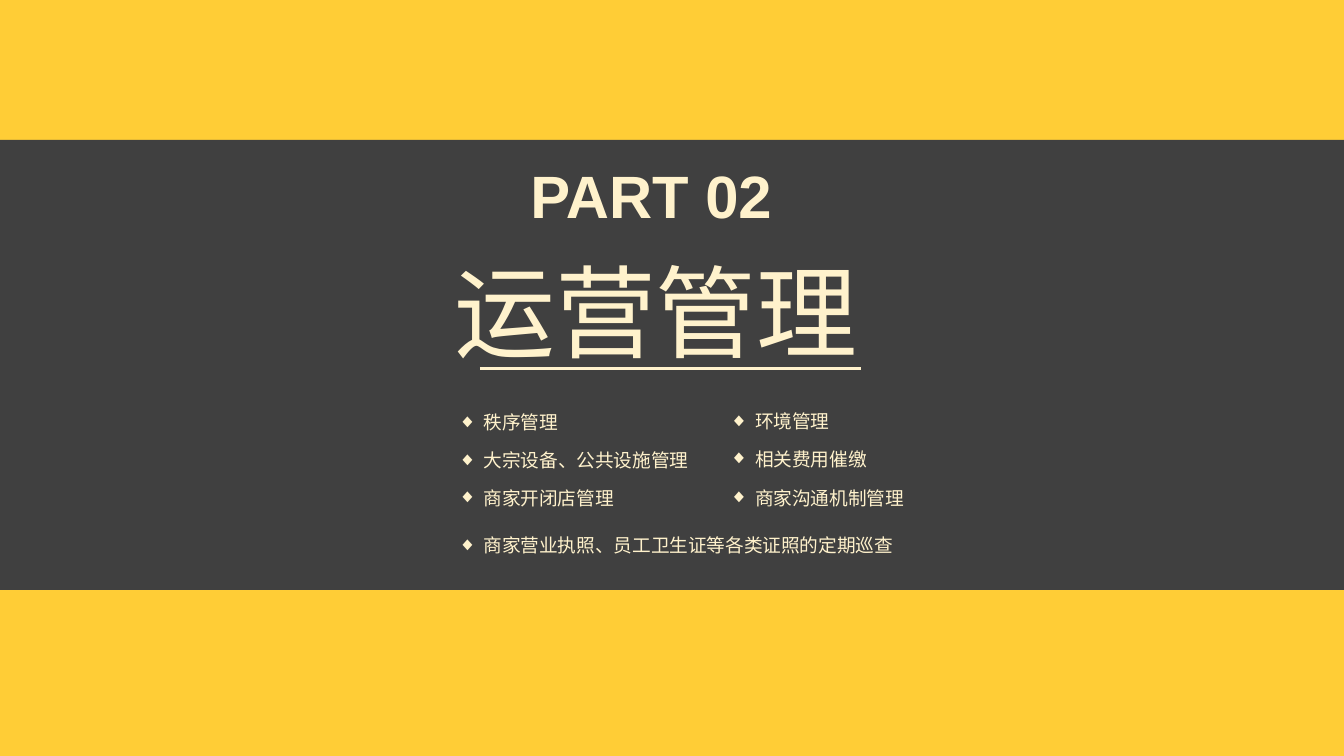
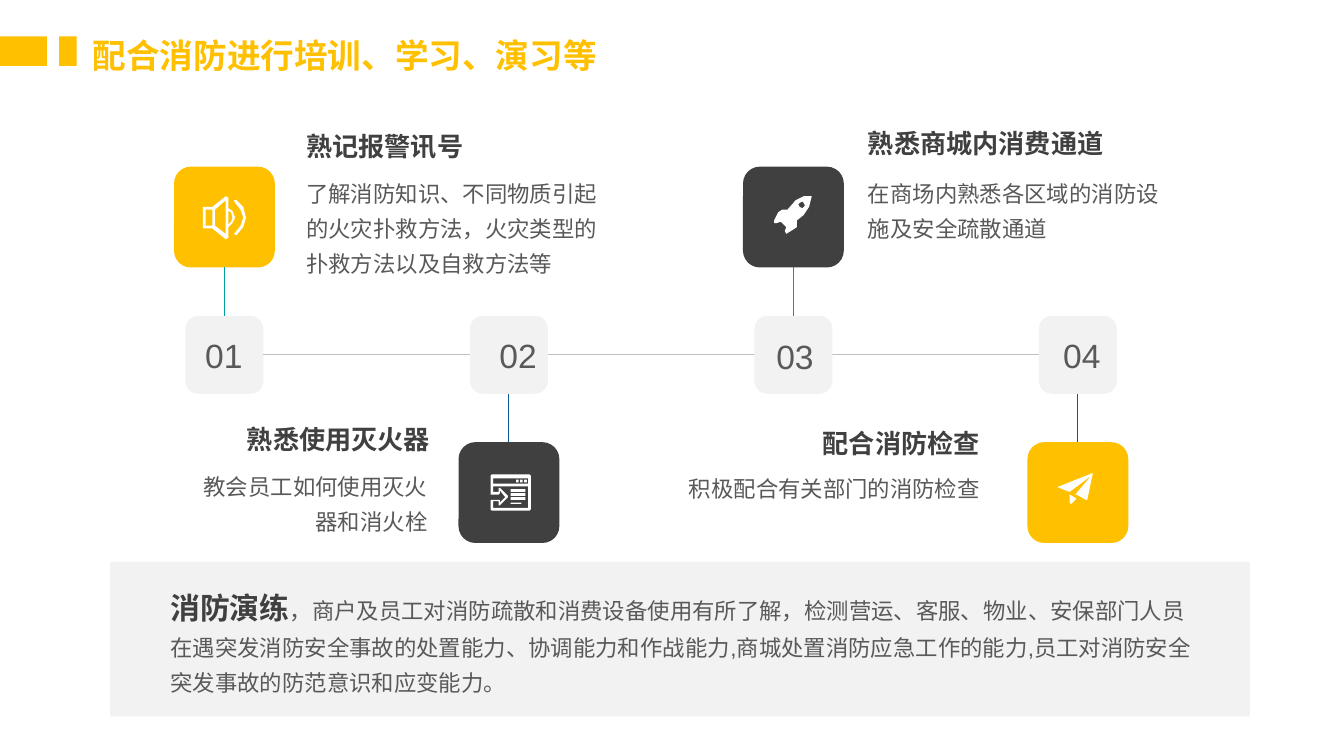
from dataclasses import dataclass
from typing import NamedTuple

from lxml import etree
from pptx import Presentation
from pptx.dml.color import RGBColor
from pptx.enum.shapes import MSO_CONNECTOR, MSO_SHAPE
from pptx.enum.text import MSO_ANCHOR, MSO_AUTO_SIZE, PP_ALIGN
from pptx.oxml.ns import qn
from pptx.util import Inches, Pt

LEFT, CENTER, RIGHT = PP_ALIGN.LEFT, PP_ALIGN.CENTER, PP_ALIGN.RIGHT
TOP, MIDDLE = MSO_ANCHOR.TOP, MSO_ANCHOR.MIDDLE
RECTANGLE, ROUNDED = MSO_SHAPE.RECTANGLE, MSO_SHAPE.ROUNDED_RECTANGLE
STRAIGHT = MSO_CONNECTOR.STRAIGHT
FIT_SHAPE = MSO_AUTO_SIZE.SHAPE_TO_FIT_TEXT
SIDE_TOP, SIDE_LEFT, SIDE_BOTTOM, SIDE_RIGHT = range(4)

YELLOW = RGBColor(0xFF, 0xC0, 0x00)
DARK = RGBColor(0x40, 0x40, 0x40)
CREAM = RGBColor(0xFF, 0xF2, 0xCC)
PALE = RGBColor(0xF2, 0xF2, 0xF2)
GREY = RGBColor(0x59, 0x59, 0x59)
RAIL = RGBColor(0xBF, 0xBF, 0xBF)
TEAL = RGBColor(0x00, 0xA2, 0xA8)
BLUE = RGBColor(0x09, 0x5A, 0x96)
WHITE = RGBColor(0xFF, 0xFF, 0xFF)

FONT = "Arial"
SLIDE_WIDTH = 10
SLIDE_HEIGHT = SLIDE_WIDTH * 9 / 16
TILE_SIZE, NUMBER_SIZE = 0.75, 0.58
NUMBER_TOP = 2.35
FIRST_CENTER, LAST_CENTER = 1.67, 8.02


class Box(NamedTuple):
    left: float
    top: float
    width: float
    height: float


class Style(NamedTuple):
    size: float
    color: RGBColor
    bold: bool = False


class Icon(NamedTuple):
    """Contours in hundredths of an inch, from the corner at left, top."""
    left: float
    top: float
    contours: tuple


@dataclass
class Step:
    number: str
    number_box: Box
    heading: str
    heading_box: Box
    body: str
    body_box: Box
    tile_top: float
    tile_color: RGBColor
    line_color: RGBColor
    align: PP_ALIGN
    icon: Icon


HEADING = Style(14, DARK, True)
BODY = Style(12, GREY)
NUMBER = Style(18, GREY)
TITLE = Style(18, YELLOW, True)
TOPIC = Style(10, CREAM)


def rectangle_points(left: float, top: float, right: float, bottom: float) -> tuple:
    return (left, top), (right, top), (right, bottom), (left, bottom)


SPEAKER = Icon(1.51, 1.46, (
    ((9, 10), (9, 22), (17, 28), (17, 3)),
    ((24, 5), (23, 3), (25, 3), (30, 8), (32, 16), (30, 23), (25, 29),
     (23, 28), (24, 27), (28, 22), (30, 16), (28, 10)),
    rectangle_points(2, 10, 7, 22),
    ((7, 8), (17, 0), (19, 1), (19, 9), (22, 11), (24, 16), (22, 20),
     (19, 23), (19, 31), (17, 32), (7, 24), (0, 24), (0, 8)),
    ((19, 11), (19, 21), (21, 19), (22, 16), (21, 12)),
))
WINDOW = Icon(3.65, 3.53, (
    ((1, 0), (29, 0), (30, 1), (30, 26), (29, 27), (1, 27), (0, 26), (0, 19),
     (7, 19), (7, 21), (11, 17), (7, 12), (7, 14), (6, 15), (0, 15), (0, 1)),
    ((2, 20), (2, 25), (28, 25), (28, 9), (2, 9), (2, 13), (6, 13), (6, 10),
     (7, 10), (13, 16), (13, 17), (7, 23), (6, 23), (6, 20)),
    *(rectangle_points(15, top, 26, top + 2) for top in (11, 14, 17)),
    rectangle_points(15, 21, 23, 22),
    rectangle_points(2, 3, 28, 7),
    *(rectangle_points(left, 4, left + 2, 6) for left in (19, 22, 25)),
))
ROCKET = Icon(5.76, 1.44, (
    ((17, 20), (22, 16), (26, 10), (28, 2), (27, 2), (22, 2), (16, 5), (10, 12),
     (6, 12), (3, 14), (0, 20), (0, 22), (2, 22), (5, 21), (9, 25), (8, 28),
     (9, 30), (14, 27), (17, 25)),
    ((19, 10), (18, 8), (19, 7), (21, 6), (22, 7), (23, 9), (22, 10), (21, 11)),
))
PAPER_PLANE = Icon(7.87, 3.52, (
    ((26, 0), (1, 10), (0, 10), (1, 11), (6, 13), (9, 14), (25, 2), (14, 15),
     (13, 16), (14, 16), (21, 20), (22, 20), (26, 1)),
    ((9, 22), (10, 23), (14, 19), (9, 16)),
))

STEPS = (
    Step("01", Box(1.41, 2.44, 0.51, 0.4),
         "熟记报警讯号", Box(2.18, 0.85, 1.58, 0.39),
         "了解消防知识、不同物质引起的火灾扑救方法，火灾类型的扑救方法以及自救方法等",
         Box(2.18, 1.23, 2.39, 0.89), 1.24, YELLOW, TEAL, LEFT, SPEAKER),
    Step("02", Box(3.53, 2.44, 0.65, 0.4),
         "熟悉使用灭火器", Box(1.51, 3.03, 1.79, 0.39),
         "教会员工如何使用灭火器和消火栓",
         Box(1.38, 3.41, 1.9, 0.6), 3.29, DARK, BLUE, RIGHT, WINDOW),
    Step("03", Box(5.56, 2.45, 0.71, 0.4),
         "熟悉商城内消费通道", Box(6.36, 0.83, 2.24, 0.39),
         "在商场内熟悉各区域的消防设施及安全疏散通道",
         Box(6.36, 1.23, 2.39, 0.6), 1.24, DARK, TEAL, LEFT, ROCKET),
    Step("04", Box(7.76, 2.44, 0.58, 0.4),
         "配合消防检查", Box(5.81, 3.06, 1.58, 0.39),
         "积极配合有关部门的消防检查",
         Box(5, 3.43, 2.39, 0.34), 3.29, YELLOW, BLUE, RIGHT, PAPER_PLANE),
)

TOPICS = (
    ("秩序管理", Box(3.31, 3.01, 1.89, 0.27)),
    ("大宗设备、公共设施管理", Box(3.31, 3.29, 2.25, 0.27)),
    ("商家开闭店管理", Box(3.31, 3.57, 2.36, 0.27)),
    ("商家营业执照、员工卫生证等各类证照的定期巡查", Box(3.31, 3.92, 3.8, 0.27)),
    ("环境管理", Box(5.33, 3, 1.89, 0.27)),
    ("相关费用催缴", Box(5.33, 3.28, 2.25, 0.27)),
    ("商家沟通机制管理", Box(5.33, 3.57, 2.36, 0.27)),
)


def paint(shape, color: RGBColor) -> None:
    shape.shadow.inherit = False
    shape.fill.solid()
    shape.fill.fore_color.rgb = color
    shape.line.fill.background()


def add_block(slide, box: Box, color: RGBColor, kind=RECTANGLE):
    shape = slide.shapes.add_shape(kind, *map(Inches, box))
    paint(shape, color)
    return shape


def add_line(slide, color: RGBColor, width: float, ends=(0, 0, 0, 0)):
    line = slide.shapes.add_connector(STRAIGHT, *map(Inches, ends))
    line.line.color.rgb = color
    line.line.width = Pt(width)
    etree.SubElement(line._element.spPr, qn("a:effectLst"))
    return line


def join(slide, color: RGBColor, first, first_side: int, last, last_side: int) -> None:
    line = add_line(slide, color, 0.5)
    line.begin_connect(first, first_side)
    line.end_connect(last, last_side)


def add_text(slide, box: Box, runs, align=LEFT, spacing: float = 1.0,
             anchor=TOP, insets: tuple = (0.1, 0.05)):
    """Write (text, style) runs in one paragraph and return the paragraph."""
    frame = slide.shapes.add_textbox(*map(Inches, box)).text_frame
    across, down = map(Inches, insets)
    frame_format = {
        "word_wrap": True, "auto_size": FIT_SHAPE, "vertical_anchor": anchor,
        "margin_left": across, "margin_right": across,
        "margin_top": down, "margin_bottom": down,
    }
    for name, value in frame_format.items():
        setattr(frame, name, value)
    paragraph = frame.paragraphs[0]
    paragraph.alignment = align
    paragraph.line_spacing = spacing
    for text, style in runs:
        run = paragraph.add_run()
        run.text = text
        run.font.color.rgb = style.color
        font_format = {"name": FONT, "size": Pt(style.size), "bold": style.bold}
        for name, value in font_format.items():
            setattr(run.font, name, value)
    return paragraph


def add_diamond_bullet(paragraph) -> None:
    properties = paragraph._p.get_or_add_pPr()
    properties.set("marL", str(Inches(0.19)))
    properties.set("indent", str(Inches(-0.19)))
    etree.SubElement(properties, qn("a:buFont"), typeface=FONT)
    etree.SubElement(properties, qn("a:buChar"), char="◆")


def add_icon(slide, icon: Icon) -> None:
    first, *others = icon.contours
    builder = slide.shapes.build_freeform(*first[0], scale=Inches(0.01))
    builder.add_line_segments(first[1:], close=True)
    for contour in others:
        builder.move_to(*contour[0])
        builder.add_line_segments(contour[1:], close=True)
    paint(builder.convert_to_shape(Inches(icon.left), Inches(icon.top)), WHITE)


def add_title(slide, text: str) -> None:
    add_text(slide, Box(0.62, 0.22, 4.38, 0.38), [(text, TITLE)], insets=(0.07, 0.04))
    add_block(slide, Box(0, 0.27, 0.35, 0.22), YELLOW)
    add_block(slide, Box(0.44, 0.27, 0.13, 0.22), YELLOW)


def build_section_slide(slide) -> None:
    backdrop = add_block(slide, Box(0, 0, SLIDE_WIDTH, SLIDE_HEIGHT), YELLOW)
    fill_color = backdrop._element.spPr.find(f"{qn('a:solidFill')}/{qn('a:srgbClr')}")
    etree.SubElement(fill_color, qn("a:alpha"), val="79000")
    add_block(slide, Box(0, 1.04, SLIDE_WIDTH, 3.35), DARK)
    for text, box, style in (
        ("运营管理", Box(3.12, 1.6, 3.52, 1.14), Style(54, CREAM)),
        ("PART 02", Box(2.84, 1.02, 4.01, 0.7), Style(32, CREAM, True)),
    ):
        add_text(slide, box, [(text, style)], CENTER, 1.3, MIDDLE, (0.06, 0.03))
    add_line(slide, CREAM, 1.5, (3.57, 2.74, 6.41, 2.74))
    for text, box in TOPICS:
        add_diamond_bullet(add_text(slide, box, [(text, TOPIC)]))


def add_number_tile(slide, center: float):
    box = Box(center - NUMBER_SIZE / 2, NUMBER_TOP, NUMBER_SIZE, NUMBER_SIZE)
    return add_block(slide, box, PALE, ROUNDED)


def add_step(slide, step: Step, center: float, number_tile) -> None:
    tile_box = Box(center - TILE_SIZE / 2, step.tile_top, TILE_SIZE, TILE_SIZE)
    tile = add_block(slide, tile_box, step.tile_color, ROUNDED)
    if step.tile_top < NUMBER_TOP:
        join(slide, step.line_color, tile, SIDE_BOTTOM, number_tile, SIDE_TOP)
    else:
        join(slide, step.line_color, number_tile, SIDE_BOTTOM, tile, SIDE_TOP)
    add_icon(slide, step.icon)
    add_text(slide, step.heading_box, [(step.heading, HEADING)], step.align, 1.3)
    add_text(slide, step.body_box, [(step.body, BODY)], step.align, 1.3)
    add_text(slide, step.number_box, [(step.number, NUMBER)], CENTER)


def build_training_slide(slide) -> None:
    add_block(slide, Box(0.82, 4.18, 8.48, 1.15), PALE)
    pitch = (LAST_CENTER - FIRST_CENTER) / (len(STEPS) - 1)
    centers = [FIRST_CENTER + pitch * index for index in range(len(STEPS))]
    first = add_number_tile(slide, centers[0])
    last = add_number_tile(slide, centers[-1])
    join(slide, RAIL, first, SIDE_RIGHT, last, SIDE_LEFT)
    # The inner tiles come after the rail so that they cover it.
    inner = [add_number_tile(slide, center) for center in centers[1:-1]]
    for step, center, tile in zip(STEPS, centers, (first, *inner, last)):
        add_step(slide, step, center, tile)
    add_text(slide, Box(1.17, 4.26, 7.88, 0.98), [
        ("消防演练", Style(16, DARK, True)),
        ("，商户及员工对消防疏散和消费设备使用有所了解，检测营运、客服、物业、安保部门人员"
         "在遇突发消防安全事故的处置能力、协调能力和作战能力,商城处置消防应急工作的能力,"
         "员工对消防安全突发事故的防范意识和应变能力。", BODY),
    ], spacing=1.3)
    add_title(slide, "配合消防进行培训、学习、演习等")


def main() -> None:
    presentation = Presentation()
    presentation.slide_width = Inches(SLIDE_WIDTH)
    presentation.slide_height = Inches(SLIDE_HEIGHT)
    blank = presentation.slide_layouts[6]
    for build in (build_section_slide, build_training_slide):
        build(presentation.slides.add_slide(blank))
    presentation.save("out.pptx")


if __name__ == "__main__":
    main()
